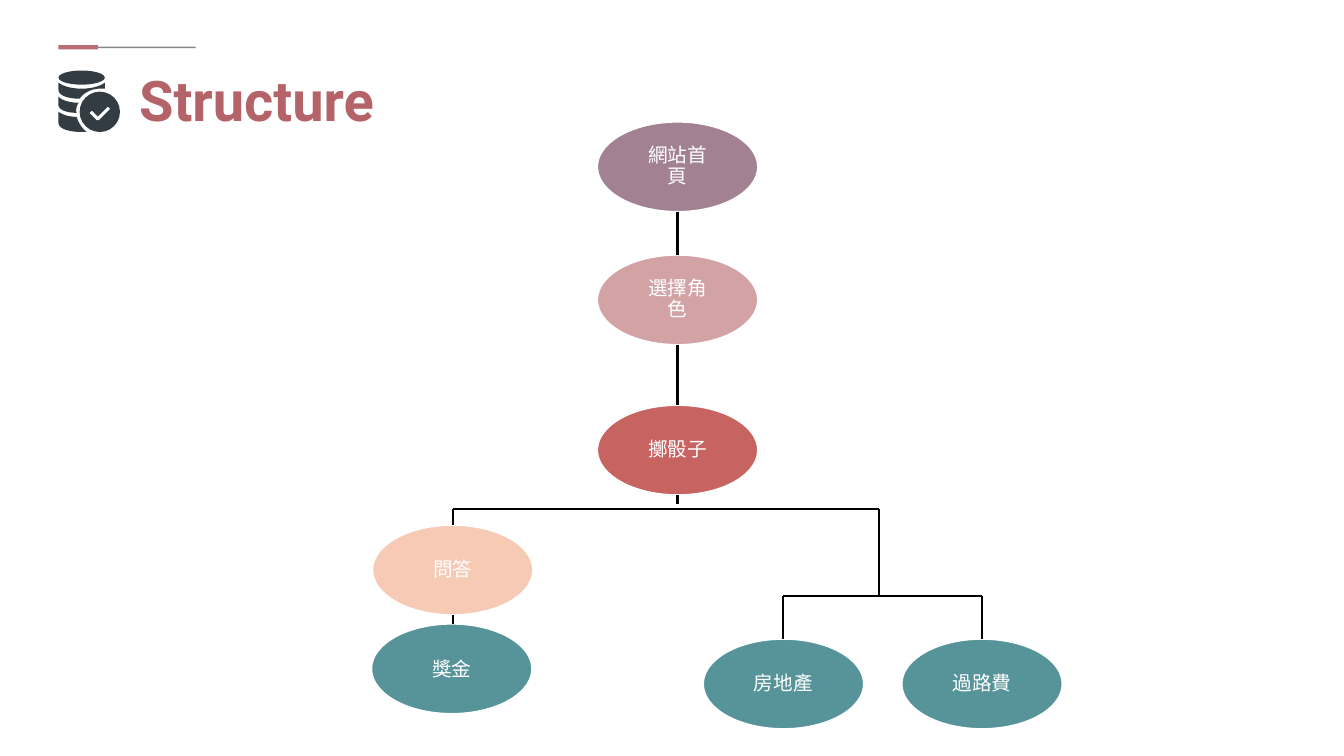
from dataclasses import dataclass

from lxml import etree
from pptx import Presentation
from pptx import util as u
from pptx.dml.color import RGBColor
from pptx.enum import shapes, text
from pptx.oxml import ns

ROSE = RGBColor(0xB4, 0x64, 0x69)
GRAY = RGBColor(0x80, 0x80, 0x80)
BLACK = RGBColor(0x00, 0x00, 0x00)
WHITE = RGBColor(0xFF, 0xFF, 0xFF)
SLATE = RGBColor(0x32, 0x3C, 0x42)
MAUVE = RGBColor(0xA2, 0x82, 0x92)
PINK = RGBColor(0xD2, 0xA2, 0xA5)
RED = RGBColor(0xC7, 0x63, 0x61)
PEACH = RGBColor(0xF7, 0xCA, 0xB5)
TEAL = RGBColor(0x56, 0x94, 0x99)

NODE_W, NODE_H = 1.59, 0.89
CURVE_STEPS = 12


@dataclass(frozen=True)
class Node:
    """One oval of the site structure, placed by its centre x and top."""
    label: str
    cx: float
    top: float
    fill: RGBColor
    line_spacing: float = 0.9
    space_after: float = 5

    @property
    def bottom(self) -> float:
        return self.top + NODE_H


@dataclass(frozen=True)
class Link:
    """A straight line between two points."""
    x1: float
    y1: float
    x2: float
    y2: float
    color: RGBColor = BLACK
    width: float = 1.5
    opacity: int = 100


def add_link(s, link: Link) -> None:
    """Draw a straight connector without a shadow."""
    ends = (u.Inches(v) for v in (link.x1, link.y1, link.x2, link.y2))
    cx = s.shapes.add_connector(shapes.MSO_CONNECTOR.STRAIGHT, *ends)
    cx.line.color.rgb = link.color
    cx.line.width = u.Pt(link.width)
    sp_pr = cx._element.spPr
    if link.opacity < 100:
        color = sp_pr.find(".//" + ns.qn("a:srgbClr"))
        etree.SubElement(color, ns.qn("a:alpha"), val=str(link.opacity * 1000))
    etree.SubElement(sp_pr, ns.qn("a:effectLst"))


def paint(sp, fill: RGBColor) -> None:
    """Give a shape a plain fill with no outline or shadow."""
    sp.shadow.inherit = False
    sp.fill.solid()
    sp.fill.fore_color.rgb = fill
    sp.line.fill.background()


def add_oval(s, left: float, top: float, width: float, height: float, fill: RGBColor):
    """Add a plain filled oval."""
    box = (u.Inches(v) for v in (left, top, width, height))
    sp = s.shapes.add_shape(shapes.MSO_SHAPE.OVAL, *box)
    paint(sp, fill)
    return sp


def add_node(s, node: Node) -> None:
    """Draw a labelled oval of the structure."""
    sp = add_oval(s, node.cx - NODE_W / 2, node.top, NODE_W, NODE_H, node.fill)
    sp.line.color.rgb = WHITE
    sp.line.width = u.Pt(1)
    tf = sp.text_frame
    tf.text = node.label
    tf.word_wrap = True
    tf.vertical_anchor = text.MSO_ANCHOR.MIDDLE
    tf.margin_left = tf.margin_right = u.Inches(0.2)
    tf.margin_top = tf.margin_bottom = u.Inches(0.11)
    p = tf.paragraphs[0]
    p.alignment = text.PP_ALIGN.CENTER
    p.line_spacing = node.line_spacing
    p.space_after = u.Pt(node.space_after)
    r = p.runs[0]
    r.font.size = u.Pt(14)
    r.font.name = "Montserrat"
    r.font.color.rgb = WHITE
    etree.SubElement(r._r.rPr, ns.qn("a:ea"), typeface="Noto Sans CJK SC")


def trace(steps: list[tuple[float, ...]]) -> list[tuple[float, float]]:
    """Turn points and cubic curves (six numbers) into a list of points."""
    points = [steps[0]]
    for step in steps[1:]:
        if len(step) == 2:
            points.append(step)
            continue
        (x0, y0), (x1, y1, x2, y2, x3, y3) = points[-1], step
        for i in range(1, CURVE_STEPS + 1):
            t = i / CURVE_STEPS
            a, b, c, d = (1 - t) ** 3, 3 * t * (1 - t) ** 2, 3 * t * t * (1 - t), t ** 3
            points.append((a * x0 + b * x1 + c * x2 + d * x3,
                           a * y0 + b * y1 + c * y2 + d * y3))
    return points


def add_outline(s, steps: list[tuple[float, ...]], close: bool = True):
    """Build a freeform along the given steps."""
    points = [(u.Inches(x), u.Inches(y)) for x, y in trace(steps)]
    fb = s.shapes.build_freeform(*points[0], scale=1.0)
    fb.add_line_segments(points[1:], close=close)
    return fb.convert_to_shape()


def add_database_icon(s) -> None:
    """Draw the stacked disks with a check badge."""
    add_oval(s, 0.58, 0.7, 0.46, 0.14, SLATE)
    for band in DISK_BANDS:
        paint(add_outline(s, band), SLATE)
    add_oval(s, 0.79, 0.91, 0.4, 0.4, SLATE)
    check = add_outline(s, [(0.9, 1.11), (0.97, 1.18), (1.08, 1.07)], close=False)
    check.shadow.inherit = False
    check.fill.background()
    check.line.color.rgb = WHITE
    check.line.width = u.Pt(2.25)


def add_title(s, label: str) -> None:
    """Move and format the title placeholder."""
    sp = s.shapes.title
    sp.left, sp.top, sp.width, sp.height = (u.Inches(v) for v in (1.28, 0.6, 5.75, 0.77))
    tf = sp.text_frame
    tf.text = label
    tf.word_wrap = True
    tf.auto_size = text.MSO_AUTO_SIZE.NONE
    tf.vertical_anchor = text.MSO_ANCHOR.TOP
    p = tf.paragraphs[0]
    p.alignment = text.PP_ALIGN.LEFT
    font = p.runs[0].font
    font.name, font.size, font.bold = "Roboto", u.Pt(40), True
    font.color.rgb = ROSE


DISK_BANDS = [
    [(0.58, 0.82), (0.58, 0.89), (0.58, 0.95, 0.68, 0.98, 0.79, 0.98),
     (0.83, 0.92, 0.91, 0.88, 0.99, 0.88), (1.04, 0.88), (1.04, 0.82),
     (0.99, 0.86, 0.9, 0.88, 0.81, 0.88), (0.72, 0.88, 0.63, 0.86, 0.58, 0.82)],
    [(0.58, 0.96), (0.58, 1.04), (0.58, 1.09, 0.66, 1.12, 0.76, 1.12),
     (0.75, 1.09, 0.76, 1.05, 0.78, 1.02), (0.7, 1.02, 0.62, 1, 0.58, 0.96)],
    [(0.58, 1.11), (0.58, 1.22), (0.58, 1.28, 0.69, 1.31, 0.81, 1.31), (0.86, 1.31),
     (0.81, 1.27, 0.78, 1.22, 0.76, 1.16), (0.69, 1.16, 0.62, 1.14, 0.58, 1.11)],
]

TRUNK_X, QUIZ_X, TOLL_X, ESTATE_X, FORK_X = 6.72, 4.49, 9.74, 7.77, 8.72
BRANCH_Y, FORK_Y = 5.05, 5.91

home = Node("網站首頁", TRUNK_X, 1.21, MAUVE)
role = Node("選擇角色", TRUNK_X, 2.53, PINK)
dice = Node("擲骰子", TRUNK_X, 4.02, RED)
quiz = Node("問答", QUIZ_X, 5.21, PEACH)
bonus = Node("獎金", QUIZ_X - 0.01, 6.19, TEAL, line_spacing=1.0, space_after=0)
estate = Node("房地產", ESTATE_X, 6.34, TEAL)
toll = Node("過路費", TOLL_X, 6.34, TEAL)

LINKS = [
    Link(0.97, 0.47, 1.94, 0.47, GRAY, 1, 92),
    Link(0.58, 0.47, 0.97, 0.47, ROSE, 3, 92),
    *(Link(a.cx, a.bottom, a.cx, b.top)
      for a, b in ((home, role), (role, dice), (quiz, bonus))),
    Link(TRUNK_X, dice.bottom, TRUNK_X, 5),
    Link(QUIZ_X, BRANCH_Y, FORK_X, BRANCH_Y),
    Link(QUIZ_X, BRANCH_Y, QUIZ_X, quiz.top),
    Link(FORK_X, BRANCH_Y, FORK_X, FORK_Y),
    Link(ESTATE_X, FORK_Y, TOLL_X, FORK_Y),
    *(Link(n.cx, FORK_Y, n.cx, n.top) for n in (estate, toll)),
]

prs = Presentation()
prs.slide_width, prs.slide_height = u.Inches(13.33), u.Inches(7.5)
s = prs.slides.add_slide(prs.slide_layouts[5])
add_title(s, "Structure")
for node in (home, role, dice, quiz, bonus, estate, toll):
    add_node(s, node)
for link in LINKS:
    add_link(s, link)
add_database_icon(s)
prs.save("out.pptx")
